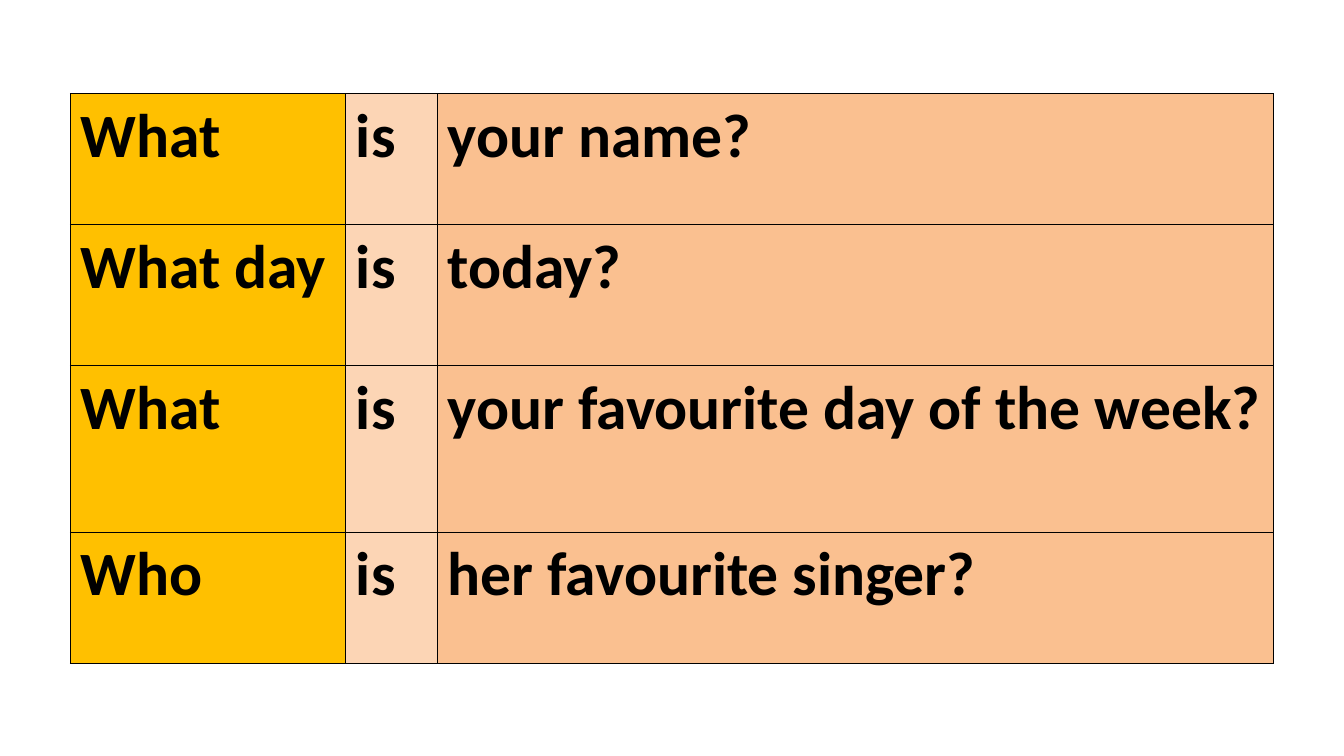
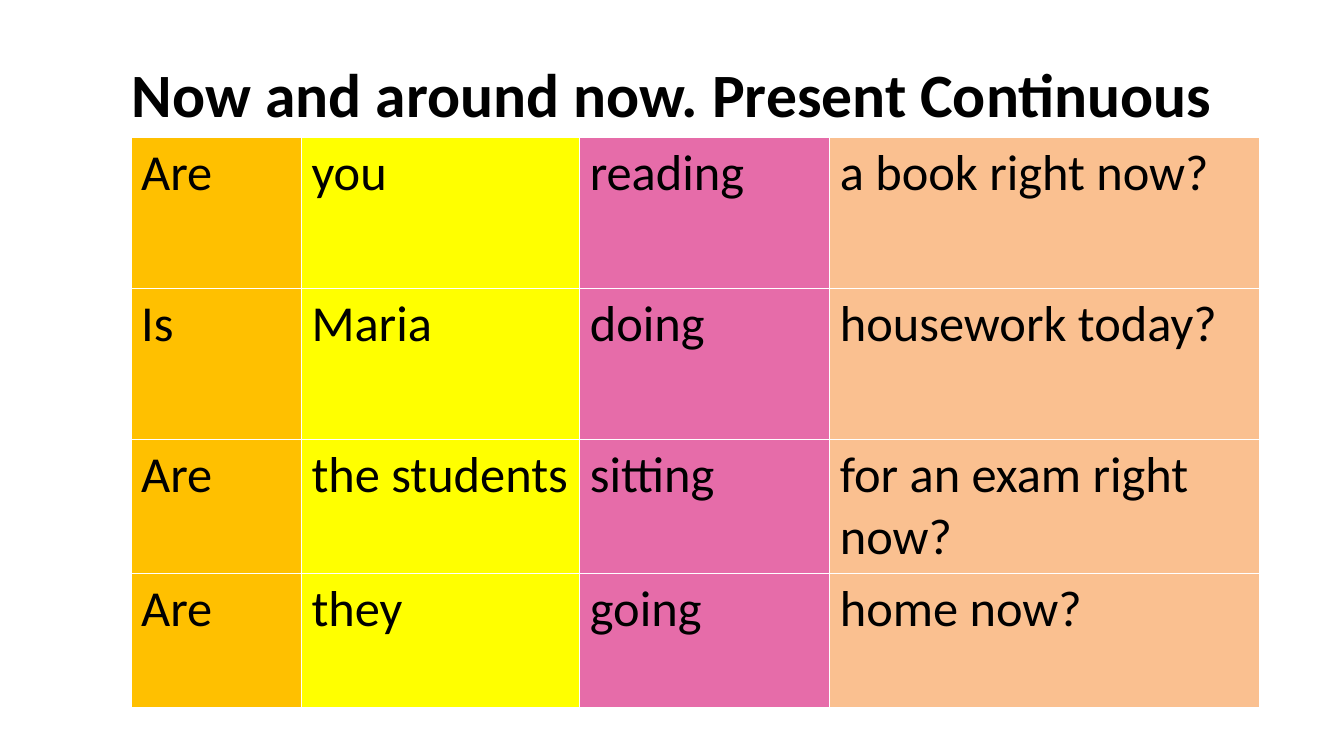
from pptx import Presentation
from pptx.dml.color import RGBColor
from pptx.enum.text import MSO_ANCHOR, PP_ALIGN
from pptx.oxml.ns import qn
from pptx.util import Inches, Pt
from lxml.etree import SubElement

BLACK = RGBColor(0x00, 0x00, 0x00)
WHITE = RGBColor(0xFF, 0xFF, 0xFF)
AMBER = RGBColor(0xFF, 0xC0, 0x00)
PEACH = RGBColor(0xFC, 0xD5, 0xB5)
APRICOT = RGBColor(0xFA, 0xC0, 0x90)
YELLOW = RGBColor(0xFF, 0xFF, 0x00)
PINK = RGBColor(0xE6, 0x6C, 0xA9)

TITLE_ONLY, BLANK = 5, 6
HEADING = {"name": "Calibri", "size": Pt(44), "bold": True}
BODY = {"name": "Calibri", "size": Pt(36), "bold": False}
TITLE_BOX = {"left": 0.67, "top": 0.3, "width": 12, "height": 1.25}

# Content: each column is one part of the question
SLIDES = [
    {
        "title": None,
        "questions": [
            ("What", "is", "your name?"),
            ("What day", "is", "today?"),
            ("What", "is", "your favourite day of the week?"),
            ("Who", "is", "her favourite singer?"),
        ],
        "origin": (0.7, 0.93),
        "columns": [(2.73, AMBER), (0.91, PEACH), (8.29, APRICOT)],
        "heights": [1.3, 1.4, 1.65, 1.3],
        "text": HEADING,
        "border": BLACK,
    },
    {
        "title": "Now and around now. Present Continuous",
        "questions": [
            ("Are", "you", "reading", "a book right now?"),
            ("Is", "Maria", "doing", "housework today?"),
            ("Are", "the students", "sitting", "for an exam right now?"),
            ("Are", "they", "going", "home now?"),
        ],
        "origin": (1.3, 1.36),
        "columns": [(1.69, AMBER), (2.76, YELLOW), (2.48, PINK), (4.26, APRICOT)],
        "heights": [1.5, 1.5, 1.33, 1.33],
        "text": BODY,
        "border": WHITE,
    },
]


def format_text(paragraph, text, style):
    run = paragraph.add_run()
    run.text = text
    for attribute, value in style.items():
        setattr(run.font, attribute, value)
    run.font.color.rgb = BLACK


def add_borders(cell, color):
    properties = cell._tc.get_or_add_tcPr()
    for side in ("a:lnL", "a:lnR", "a:lnT", "a:lnB"):
        border = SubElement(properties, qn(side), w=str(Pt(1)))
        fill = SubElement(border, qn("a:solidFill"))
        SubElement(fill, qn("a:srgbClr"), val=str(color))


def add_title(slide, text):
    title = slide.shapes.title
    for attribute, value in TITLE_BOX.items():
        setattr(title, attribute, Inches(value))
    title.text_frame.vertical_anchor = MSO_ANCHOR.MIDDLE
    paragraph = title.text_frame.paragraphs[0]
    paragraph.alignment = PP_ALIGN.CENTER
    format_text(paragraph, text, HEADING)


def add_questions(slide, content):
    questions, columns, heights = (
        content[key] for key in ("questions", "columns", "heights"))
    left, top = content["origin"]
    width = sum(column_width for column_width, _ in columns)
    grid = slide.shapes.add_table(
        len(questions), len(columns),
        Inches(left), Inches(top), Inches(width), Inches(sum(heights))).table
    grid.first_row = grid.horz_banding = False

    for column, (column_width, _) in zip(grid.columns, columns):
        column.width = Inches(column_width)
    for row, height, question in zip(grid.rows, heights, questions):
        row.height = Inches(height)
        for cell, part, (_, color) in zip(row.cells, question, columns):
            add_borders(cell, content["border"])
            cell.fill.solid()
            cell.fill.fore_color.rgb = color
            format_text(cell.text_frame.paragraphs[0], part, content["text"])


def main():
    deck = Presentation()
    deck.slide_width, deck.slide_height = Inches(13.33), Inches(7.5)
    for content in SLIDES:
        layout = TITLE_ONLY if content["title"] else BLANK
        slide = deck.slides.add_slide(deck.slide_layouts[layout])
        if content["title"]:
            add_title(slide, content["title"])
        add_questions(slide, content)
    deck.save("out.pptx")


if __name__ == "__main__":
    main()
